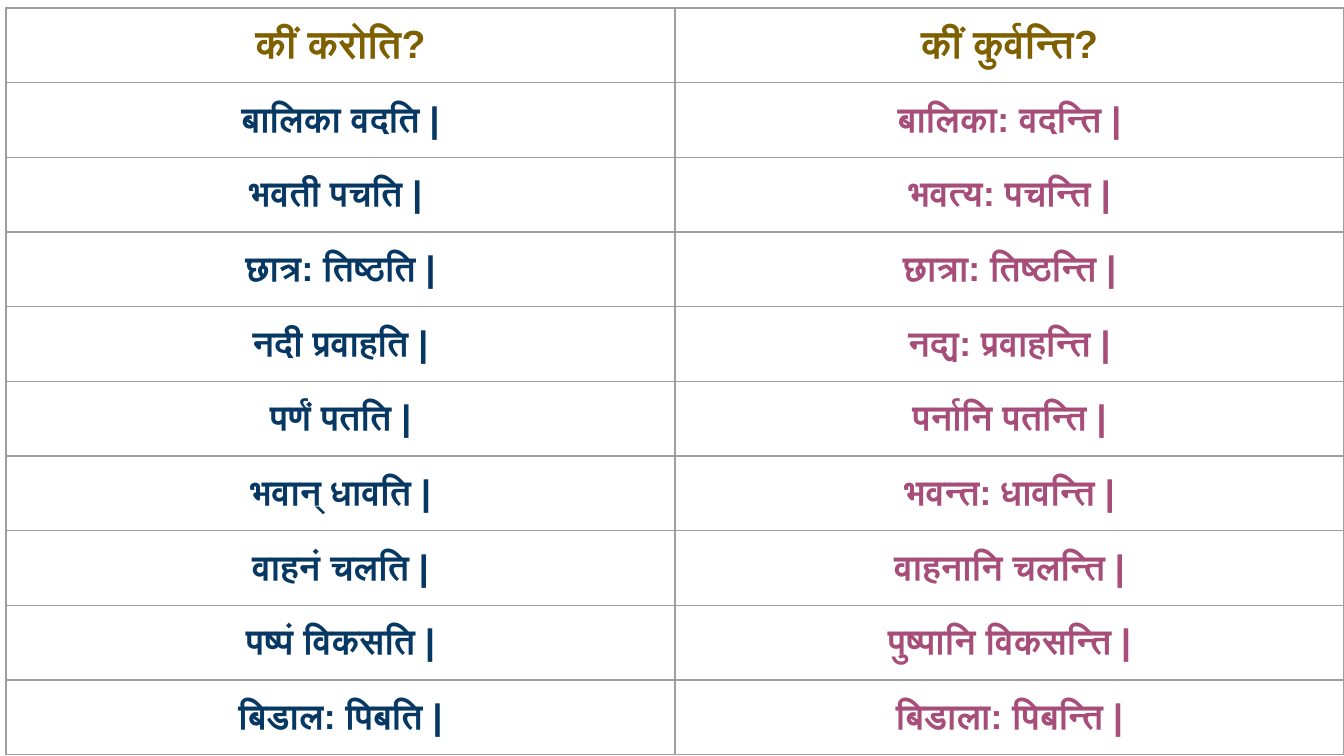
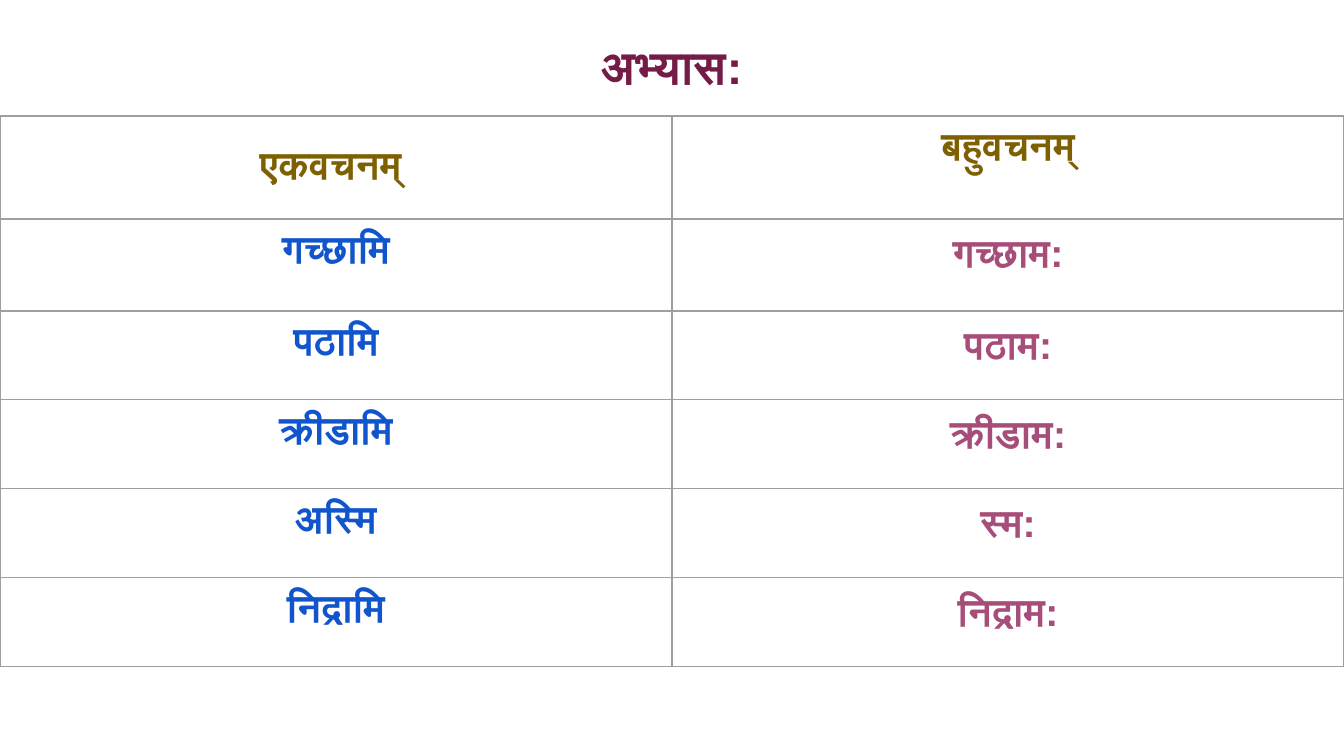
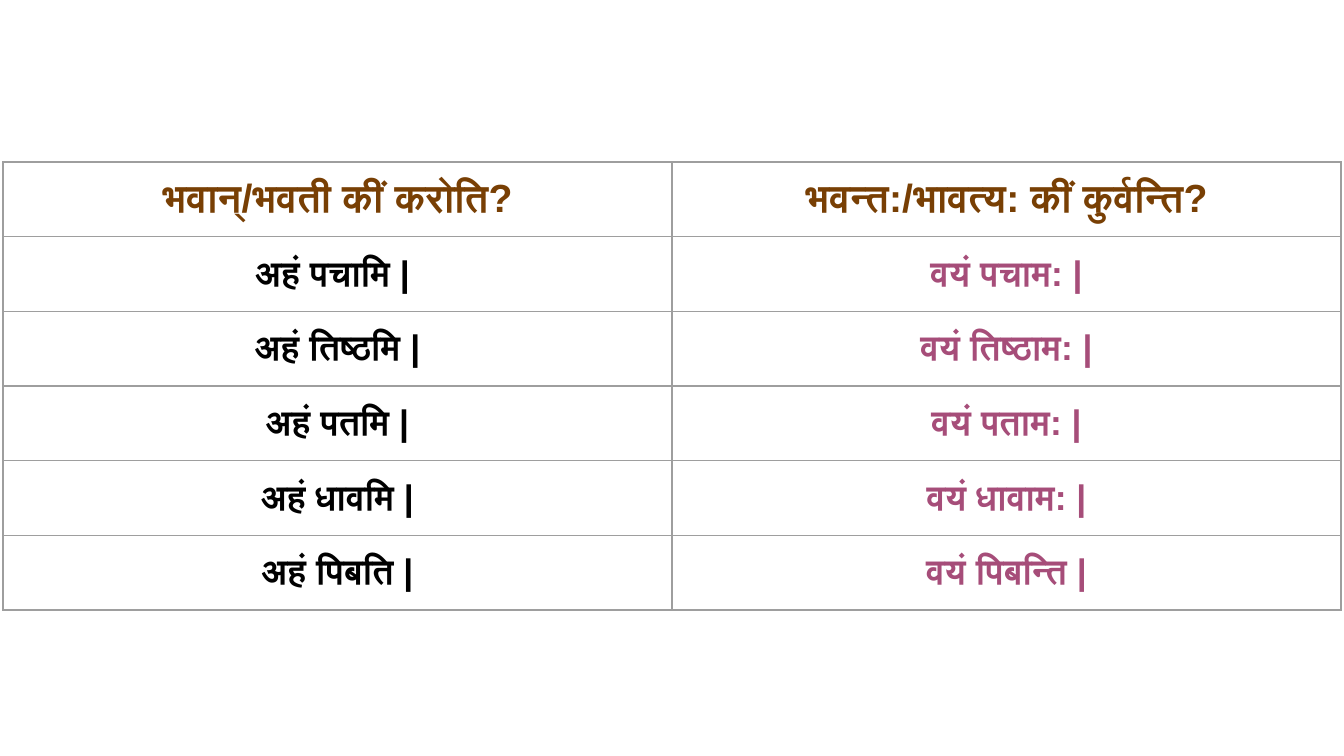
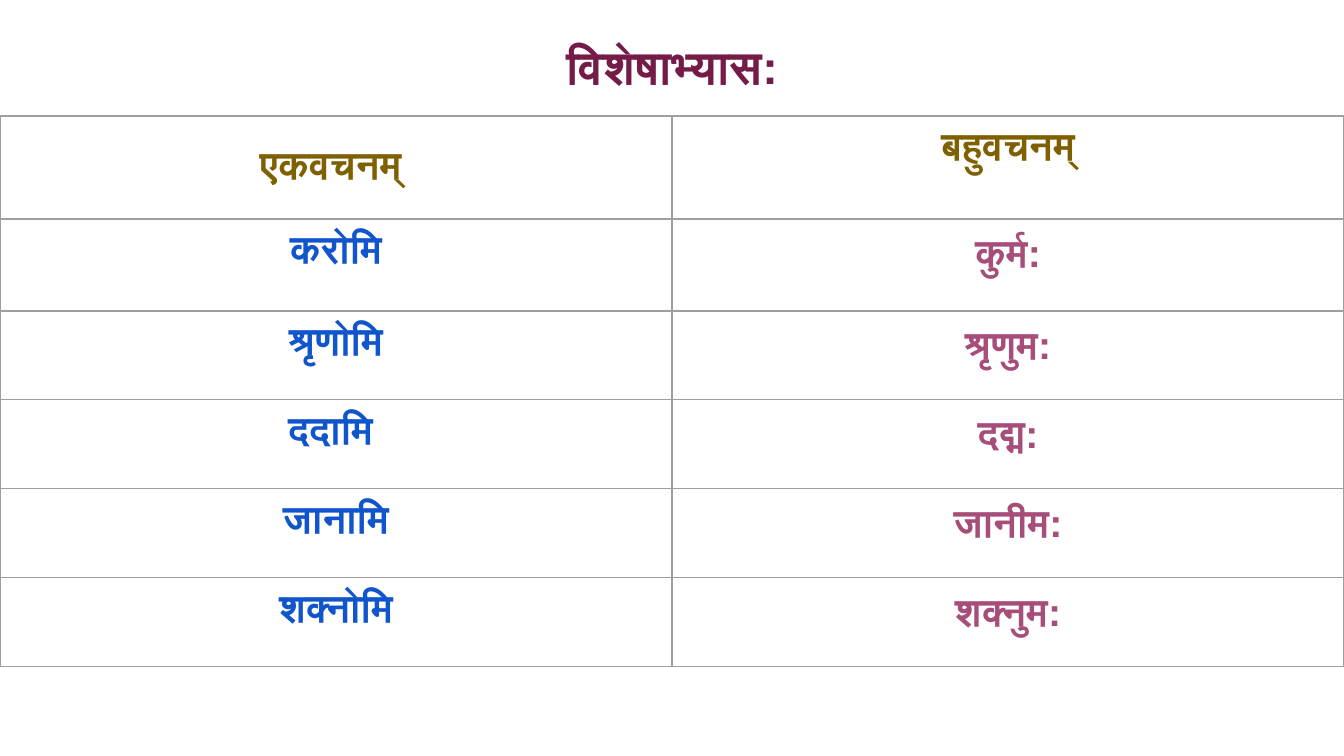
import lxml.etree
import pptx
import pptx.dml.color
import pptx.enum.text
import pptx.oxml.ns
import pptx.util

SCALE = 914400 / 134.4
MIDDLE = pptx.enum.text.MSO_ANCHOR.MIDDLE
TOP = pptx.enum.text.MSO_ANCHOR.TOP
FONT = "Arial"
COLOURS = {
    "title": "741B47",
    "number": "7F6000",
    "question": "783F04",
    "navy": "073763",
    "blue": "1155CC",
    "black": "000000",
    "plural": "A64D79",
    "grid": "9E9E9E",
}
TITLE_ONLY, BLANK = 5, 6

ACTIONS = [
    ("कीं करोति?", "कीं कुर्वन्ति?"),
    ("बालिका वदति |", "बालिका: वदन्ति |"),
    ("भवती पचति | ", "भवत्य: पचन्ति |"),
    ("छात्र: तिष्ठति |", "छात्रा: तिष्ठन्ति |"),
    ("नदी प्रवाहति |", "नद्य: प्रवाहन्ति |"),
    ("पर्णं पतति |", "पर्नानि पतन्ति |"),
    ("भवान् धावति |", "भवन्त: धावन्ति |"),
    ("वाहनं चलति |", "वाहनानि चलन्ति |"),
    ("पष्पं विकसति |", "पुष्पानि विकसन्ति |"),
    ("बिडाल: पिबति |", "बिडाला: पिबन्ति |"),
]
ANSWERS = [
    ("भवान्/भवती कीं करोति?", "भवन्त:/भावत्य: कीं कुर्वन्ति?"),
    ("अहं पचामि | ", "वयं पचाम: |"),
    ("अहं तिष्ठमि |", "वयं तिष्ठाम: |"),
    ("अहं पतमि |", "वयं पताम: |"),
    ("अहं धावमि |", "वयं धावाम: |"),
    ("अहं पिबति |", "वयं पिबन्ति |"),
]
NUMBERS = ("एकवचनम् ", "बहुवचनम्")
PRACTICE = [
    NUMBERS,
    ("गच्छामि", "गच्छाम:"),
    ("पठामि", "पठाम:"),
    ("क्रीडामि", "क्रीडाम:"),
    ("अस्मि", "स्म:"),
    ("निद्रामि", "निद्राम:"),
]
SPECIAL_PRACTICE = [
    NUMBERS,
    ("करोमि", "कुर्म:"),
    ("श्रृणोमि", "श्रृणुम:"),
    ("ददामि ", "दद्म:"),
    ("जानामि", "जानीम:"),
    ("शक्नोमि", "शक्नुम:"),
]


def px(length):
    return pptx.util.Emu(round(length * SCALE))


class Deck:
    def __init__(self):
        self.presentation = pptx.Presentation()
        self.presentation.slide_width = px(1344)
        self.presentation.slide_height = px(756)
        self.slide = None

    def add_slide(self, layout):
        layouts = self.presentation.slide_layouts
        self.slide = self.presentation.slides.add_slide(layouts[layout])

    def set_text(self, frame, text, size, colour):
        paragraph = frame.paragraphs[0]
        paragraph.text = text
        paragraph.alignment = pptx.enum.text.PP_ALIGN.CENTER
        font = paragraph.font
        font.name = FONT
        font.size = pptx.util.Pt(size)
        font.bold = True
        font.color.rgb = pptx.dml.color.RGBColor.from_string(COLOURS[colour])

    def set_margins(self, box):
        box.margin_left = box.margin_right = pptx.util.Inches(0.1)
        box.margin_top = box.margin_bottom = pptx.util.Inches(0.1)

    def title(self, text):
        heading = self.slide.shapes.title
        heading.left, heading.top = px(532), px(24)
        heading.width, heading.height = px(280), px(83)
        frame = heading.text_frame
        frame.word_wrap = True
        frame.auto_size = pptx.enum.text.MSO_AUTO_SIZE.SHAPE_TO_FIT_TEXT
        frame.vertical_anchor = MIDDLE
        self.set_margins(frame)
        self.set_text(frame, text, 25, "title")

    def border(self, cell):
        properties = cell._tc.get_or_add_tcPr()
        qn = pptx.oxml.ns.qn
        for side in ("lnL", "lnR", "lnT", "lnB"):
            line = lxml.etree.SubElement(properties, qn("a:" + side), w=str(pptx.util.Pt(0.75)))
            fill = lxml.etree.SubElement(line, qn("a:solidFill"))
            lxml.etree.SubElement(fill, qn("a:srgbClr"), val=COLOURS["grid"])

    def table(self, pairs, left, top, width, heights, colours, body_size, anchor):
        header, singular = colours
        grid = self.slide.shapes.add_table(
            len(pairs), 2, px(left), px(top), px(width), px(sum(heights))
        ).table
        grid.first_row = grid.horz_banding = False
        for row, (pair, height) in enumerate(zip(pairs, heights)):
            grid.rows[row].height = px(height)
            for column, text in enumerate(pair):
                cell = grid.cell(row, column)
                self.border(cell)
                cell.fill.background()
                self.set_margins(cell)
                cell.vertical_anchor = MIDDLE if row == column == 0 else anchor
                colour = (singular, "plural")[column] if row else header
                self.set_text(cell.text_frame, text, body_size if row else 21, colour)

    def sentences(self, pairs, left, top, header, singular):
        self.add_slide(BLANK)
        heights = [747 / 10] * len(pairs)
        self.table(pairs, left, top, 1338, heights, (header, singular), 19, MIDDLE)

    def practice(self, heading, pairs):
        self.add_slide(TITLE_ONLY)
        heights = [103, 92] + [89] * (len(pairs) - 2)
        self.table(pairs, 0, 116, 1344, heights, ("number", "blue"), 21, TOP)
        self.title(heading)


def main():
    deck = Deck()
    deck.sentences(ACTIONS, 6, 8, "number", "navy")
    deck.practice("अभ्यास:", PRACTICE)
    deck.sentences(ANSWERS, 3, 162, "question", "black")
    deck.practice("विशेषाभ्यास:", SPECIAL_PRACTICE)
    deck.presentation.save("out.pptx")


if __name__ == "__main__":
    main()
